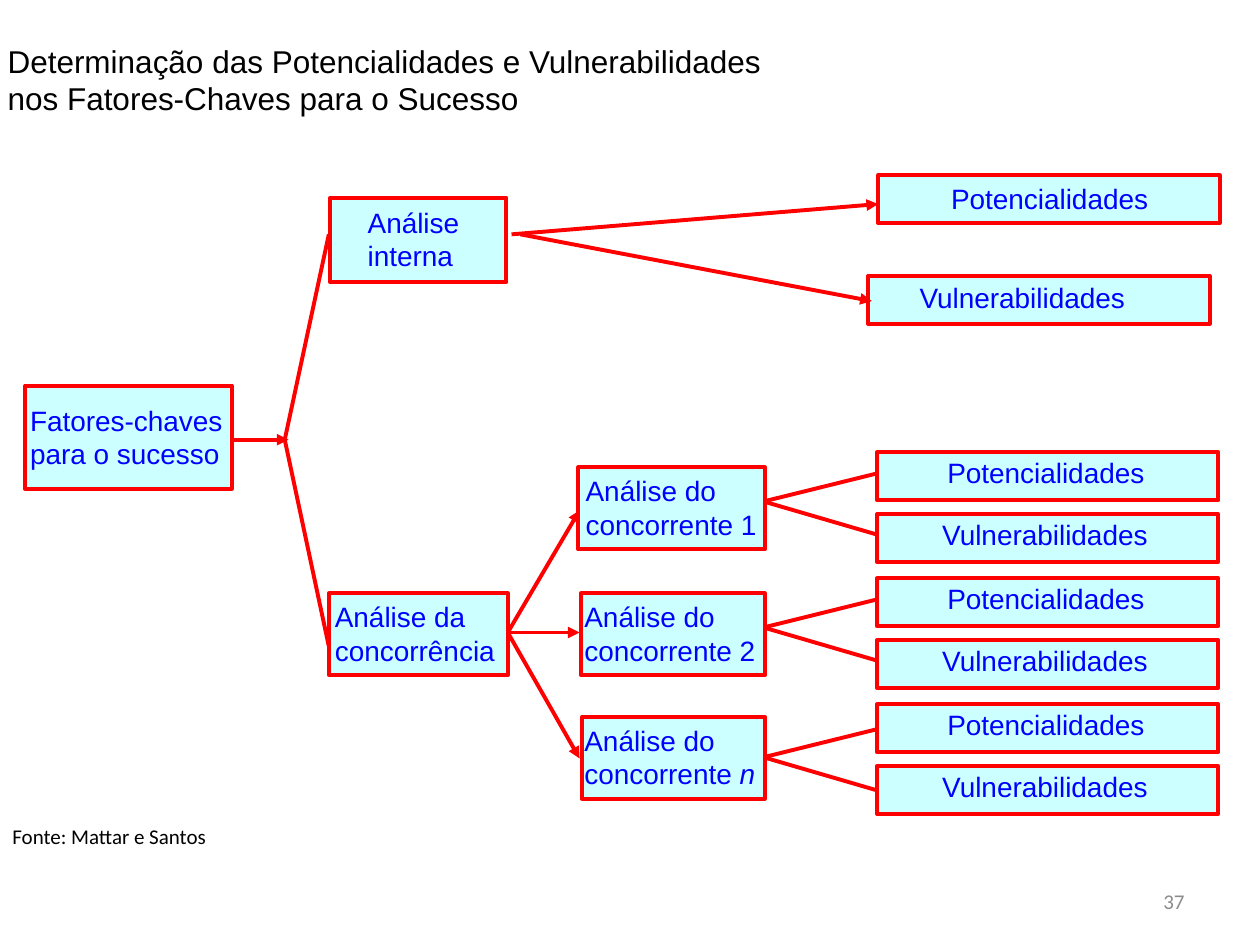
from lxml import etree
from pptx import Presentation
from pptx.dml.color import RGBColor
from pptx.enum.shapes import MSO_CONNECTOR, MSO_SHAPE
from pptx.enum.text import MSO_ANCHOR, PP_ALIGN
from pptx.oxml.ns import qn
from pptx.util import Inches, Pt

STRAIGHT = MSO_CONNECTOR.STRAIGHT
RECTANGLE = MSO_SHAPE.RECTANGLE
TOP, MIDDLE = MSO_ANCHOR.TOP, MSO_ANCHOR.MIDDLE
LEFT, RIGHT = PP_ALIGN.LEFT, PP_ALIGN.RIGHT

RED = RGBColor(0xFF, 0x00, 0x00)
PALE_CYAN = RGBColor(0xCC, 0xFF, 0xFF)
BLUE = RGBColor(0x00, 0x00, 0xFF)
BLACK = RGBColor(0x00, 0x00, 0x00)
GRAY = RGBColor(0x8C, 0x8C, 0x8C)
LINE_WIDTH = Pt(2.25)

presentation = Presentation()
presentation.slide_width = Inches(10)
presentation.slide_height = Inches(7.5)
slide = presentation.slides.add_slide(presentation.slide_layouts[5])


def write_text(shape, lines, size, color, name="Arial", align=LEFT, anchor=TOP, wrap=True):
    frame = shape.text_frame
    frame.word_wrap = wrap
    frame.vertical_anchor = anchor
    frame.text = "\n".join(lines)
    for paragraph in frame.paragraphs:
        paragraph.alignment = align
        font = paragraph.font
        for key, value in {"size": Pt(size), "name": name}.items():
            setattr(font, key, value)
        font.color.rgb = color


def add_line(start, end, arrow=False):
    connector = slide.shapes.add_connector(STRAIGHT, *map(Inches, start + end))
    connector.line.color.rgb = RED
    connector.line.width = LINE_WIDTH
    if arrow:
        etree.SubElement(connector.line._get_or_add_ln(), qn("a:tailEnd"), type="triangle")
    etree.SubElement(connector._element.spPr, qn("a:effectLst"))


# Title
title = slide.shapes.title
title.left, title.top, title.width, title.height = map(Inches, (-0.04, 0.28, 9.49, 0.9))
write_text(title, ["Determinação das Potencialidades e Vulnerabilidades",
                   "nos Fatores-Chaves para o Sucesso"], 18, BLACK)

# Boxes: frame position, label position, label lines
boxes = [
    ((0.2, 3.06, 1.64, 0.82), (0.14, 3.15, 1.73, 0.64), ["Fatores-chaves", "para o sucesso"]),
    ((2.62, 1.57, 1.4, 0.67), (2.82, 1.58, 0.93, 0.64), ["Análise", "interna"]),
    ((2.61, 4.71, 1.42, 0.65), (2.56, 4.71, 1.47, 0.64), ["Análise da", "concorrência"]),
    ((6.97, 1.39, 2.71, 0.38), (7.45, 1.39, 1.77, 0.37), ["Potencialidades"]),
    ((6.89, 2.19, 2.71, 0.38), (7.2, 2.18, 1.84, 0.37), ["Vulnerabilidades"]),
    ((4.59, 3.71, 1.48, 0.65), (4.55, 3.71, 1.56, 0.64), ["Análise do", "concorrente 1"]),
    ((4.61, 4.71, 1.46, 0.65), (4.54, 4.71, 1.56, 0.64), ["Análise do", "concorrente 2"]),
    ((4.62, 5.69, 1.45, 0.65), (4.54, 5.69, 1.56, 0.64), ["Análise do", "concorrente "]),
]
# Each competitor leads to a pair of outcomes
for top in (3.59, 4.59, 5.59):
    boxes += [
        ((6.96, top, 2.71, 0.38), (7.42, top - 0.02, 1.77, 0.37), ["Potencialidades"]),
        ((6.96, top + 0.49, 2.71, 0.38), (7.38, top + 0.47, 1.84, 0.37), ["Vulnerabilidades"]),
    ]

for frame_position, label_position, lines in boxes:
    box = slide.shapes.add_shape(RECTANGLE, *map(Inches, frame_position))
    box.shadow.inherit = False
    box.fill.solid()
    box.fill.fore_color.rgb = PALE_CYAN
    box.line.color.rgb = RED
    box.line.width = LINE_WIDTH
    label = slide.shapes.add_textbox(*map(Inches, label_position))
    write_text(label, lines, 16, BLUE, wrap=False)
    if lines[-1] == "concorrente ":
        run = label.text_frame.paragraphs[-1].add_run()
        run.text = "n"
        run.font.italic = True

# Key factors to the two analyses
add_line((1.83, 3.49), (2.29, 3.49), arrow=True)
for end_y in (1.86, 5.13):
    add_line((2.26, 3.49), (2.61, end_y))

# Internal analysis to its outcomes
add_line((4.06, 1.86), (6.97, 1.62), arrow=True)
add_line((4.13, 1.86), (6.92, 2.39), arrow=True)

# Competition analysis to each competitor
for end_y in (4.05, 5.02, 6.02):
    add_line((4.03, 5.02), (4.6, end_y), arrow=True)

# Competitors to their outcomes
for start_y in (3.98, 4.98, 6.01):
    for rise in (-0.22, 0.26):
        add_line((6.06, start_y), (6.95, start_y + rise))

# Source and page number
source = slide.shapes.add_textbox(*map(Inches, (0, 6.49, 3.08, 0.3)))
write_text(source, ["Fonte: Mattar e Santos"], 12, BLACK, name="Calibri")
page_number = slide.shapes.add_textbox(*map(Inches, (7.17, 6.95, 2.33, 0.4)))
write_text(page_number, ["37"], 12, GRAY, name="Calibri", align=RIGHT, anchor=MIDDLE)

presentation.save("out.pptx")
